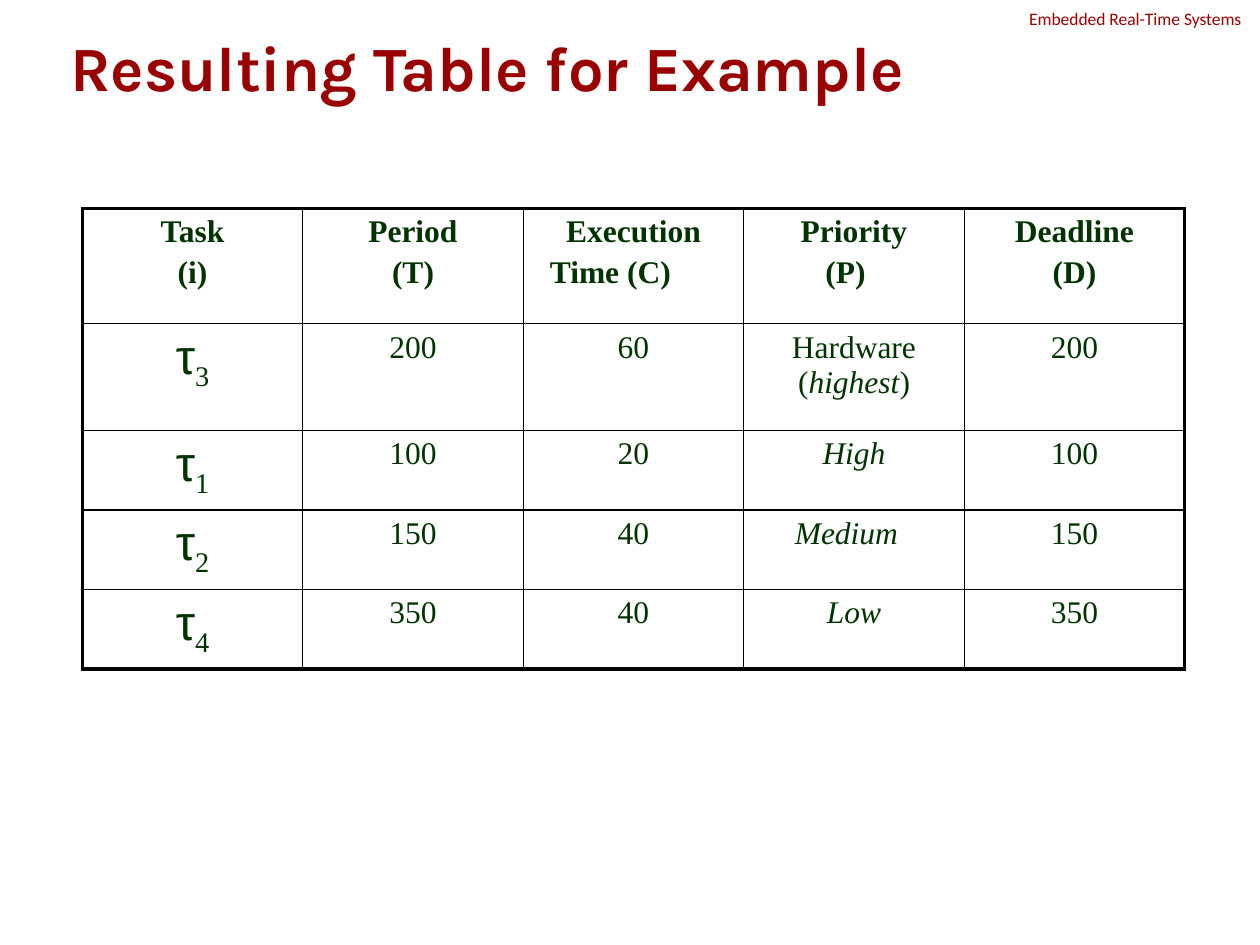
from lxml.etree import SubElement
from pptx import Presentation
from pptx.dml.color import RGBColor
from pptx.enum.text import MSO_ANCHOR, MSO_AUTO_SIZE, PP_ALIGN
from pptx.oxml.ns import qn
from pptx.util import Pt

COLORS = {"heading": "990000", "body": "003300", "border": "000000"}
BODY_FONT = "Times New Roman"

COURSE = "Embedded Real-Time Systems"
TITLE = "Resulting Table for Example"
HEADERS = [
    ("Task", "(i)"),
    ("Period", "(T)"),
    ("Execution", "Time (C)"),
    ("Priority", "(P)"),
    ("Deadline", "(D)"),
]
TASKS = [
    ("3", "200", "60", ("Hardware (", "highest", ")"), "200"),
    ("1", "100", "20", ("", "High", ""), "100"),
    ("2", "150", "40", ("", "Medium", ""), "150"),
    ("4", "350", "40", ("", "Low", ""), "350"),
]
LEFT_INDENTS = {"Time (C)": 8, "(P)": 39.5, "Medium": 22}

TABLE_LEFT, TABLE_TOP = 47, 119
COLUMN_WIDTH = 126
ROW_HEIGHTS = [66, 61, 43, 43, 43]
OUTER_LINE, INNER_LINE = 2.25, 1


def style(font, size, name, color, bold=False):
    font.size = Pt(size)
    font.name = name
    font.bold = bold
    font.color.rgb = RGBColor.from_string(COLORS[color])


def format_paragraph(paragraph, size=18, bold=False):
    style(paragraph.font, size, BODY_FONT, "body", bold)
    paragraph.space_before = Pt(size * 0.2)
    paragraph.alignment = PP_ALIGN.CENTER
    indent = LEFT_INDENTS.get(paragraph.text)
    if indent:
        paragraph.alignment = PP_ALIGN.LEFT
        paragraph._p.get_or_add_pPr().set("marL", str(Pt(indent)))


def add_borders(cell, row, column):
    outer_sides = {
        "L": column == 0,
        "R": column == len(HEADERS) - 1,
        "T": row == 0,
        "B": row == len(TASKS),
    }
    properties = cell._tc.get_or_add_tcPr()
    for side, outer in outer_sides.items():
        width = Pt(OUTER_LINE if outer else INNER_LINE)
        line = SubElement(properties, qn(f"a:ln{side}"), w=str(width))
        fill = SubElement(line, qn("a:solidFill"))
        SubElement(fill, qn("a:srgbClr"), val=COLORS["border"])


def fill_header(cell, lines):
    cell.text = "\n".join(lines)
    for paragraph in cell.text_frame.paragraphs:
        format_paragraph(paragraph, bold=True)


def fill_task(cell, number):
    paragraph = cell.text_frame.paragraphs[0]
    symbol, subscript = paragraph.add_run(), paragraph.add_run()
    symbol.text, subscript.text = "τ", number
    style(symbol.font, 28, "Arial", "body")
    style(subscript.font, 28, BODY_FONT, "body")
    subscript._r.get_or_add_rPr().set("baseline", "-25000")
    format_paragraph(paragraph, size=28)


def fill_priority(cell, parts):
    paragraph = cell.text_frame.paragraphs[0]
    for part, italic in zip(parts, (False, True, False)):
        if part:
            run = paragraph.add_run()
            run.text = part
            run.font.italic = italic
    format_paragraph(paragraph)


def fill_value(cell, value):
    cell.text = value
    format_paragraph(cell.text_frame.paragraphs[0])


def main():
    presentation = Presentation()
    presentation.slide_width, presentation.slide_height = Pt(720), Pt(540)
    slide = presentation.slides.add_slide(presentation.slide_layouts[5])

    title = slide.shapes.title
    title.left, title.top, title.width, title.height = Pt(33), Pt(17), Pt(630), Pt(42)
    title.text_frame.text = TITLE
    title.text_frame.auto_size = MSO_AUTO_SIZE.NONE
    title.text_frame.vertical_anchor = MSO_ANCHOR.MIDDLE
    heading = title.text_frame.paragraphs[0]
    heading.alignment = PP_ALIGN.LEFT
    style(heading.font, 36, "Karla", "heading", bold=True)

    course = slide.shapes.add_textbox(Pt(581), Pt(1), Pt(163), Pt(19))
    course.text_frame.word_wrap = True
    course.text_frame.text = COURSE
    style(course.text_frame.paragraphs[0].font, 10, "Calibri", "heading")

    table = slide.shapes.add_table(
        len(ROW_HEIGHTS), len(HEADERS), Pt(TABLE_LEFT), Pt(TABLE_TOP),
        Pt(COLUMN_WIDTH * len(HEADERS)), Pt(sum(ROW_HEIGHTS)),
    ).table
    table.first_row = table.horz_banding = False
    for column in table.columns:
        column.width = Pt(COLUMN_WIDTH)
    for row, height in zip(table.rows, ROW_HEIGHTS):
        row.height = Pt(height)

    task_fillers = [fill_task, fill_value, fill_value, fill_priority, fill_value]
    for row, contents in enumerate([HEADERS, *TASKS]):
        fillers = task_fillers if row else [fill_header] * len(HEADERS)
        for column, (fill_cell, content) in enumerate(zip(fillers, contents)):
            cell = table.cell(row, column)
            fill_cell(cell, content)
            add_borders(cell, row, column)
            cell.fill.background()

    presentation.save("out.pptx")


if __name__ == "__main__":
    main()
